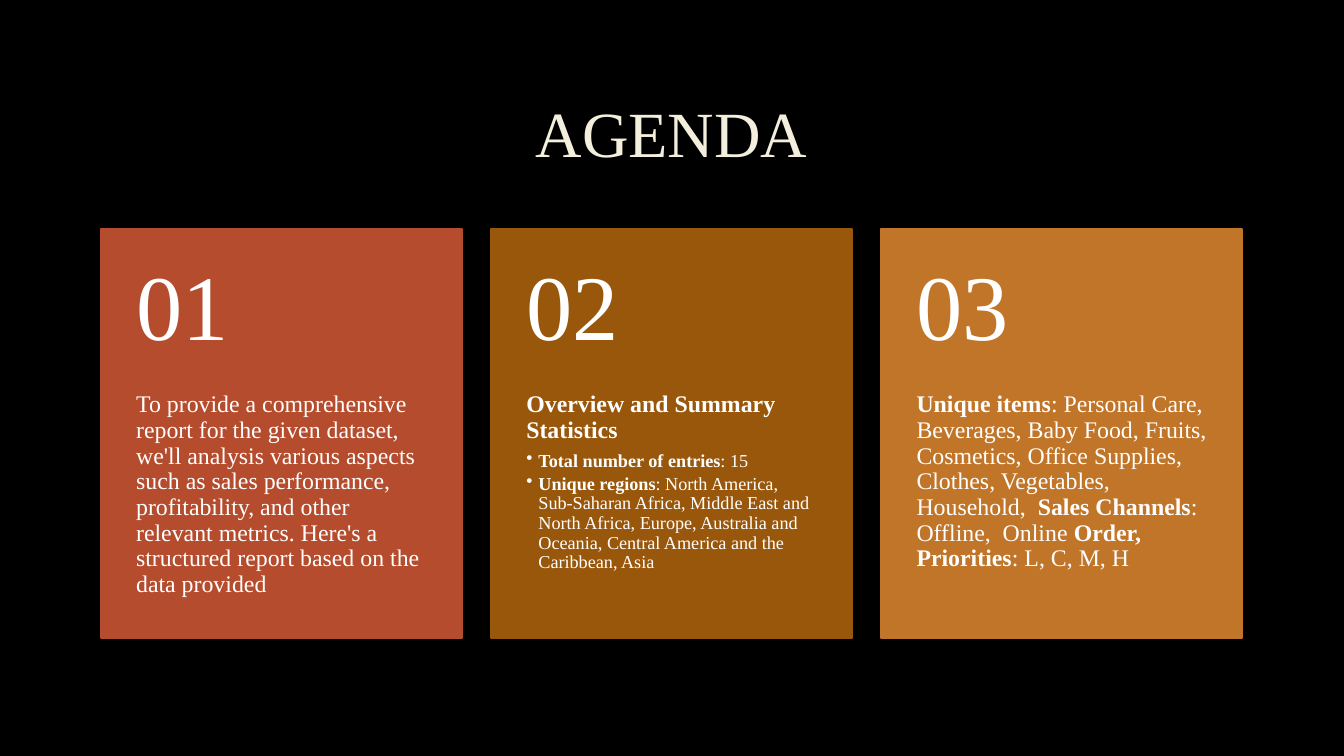
from dataclasses import dataclass

import lxml.etree
import pptx
import pptx.dml.color
import pptx.enum.shapes
import pptx.enum.text
import pptx.oxml.ns
import pptx.shapes.group
import pptx.slide
import pptx.text.text
import pptx.util

Inches = pptx.util.Inches
Pt = pptx.util.Pt
RGBColor = pptx.dml.color.RGBColor
Anchor = pptx.enum.text.MSO_ANCHOR
Align = pptx.enum.text.PP_ALIGN
qn = pptx.oxml.ns.qn

# Colours and font
BLACK = RGBColor(0x00, 0x00, 0x00)
WHITE = RGBColor(0xFF, 0xFF, 0xFF)
CREAM = RGBColor(0xF4, 0xEE, 0xDC)
RUST = RGBColor(0xB5, 0x4C, 0x2D)
BROWN = RGBColor(0x99, 0x57, 0x0C)
OCHRE = RGBColor(0xC1, 0x75, 0x29)
FONT = "Times New Roman"

# Card grid, in inches
CARD_LEFT, CARD_TOP, CARD_PITCH = 1, 2.27, 3.87
CARD_WIDTH, CARD_HEIGHT, NUMBER_HEIGHT = 3.58, 4.06, 1.62
BULLET_INDENT = 0.12


@dataclass(frozen=True)
class Run:
    text: str
    bold: bool = False


@dataclass(frozen=True)
class Line:
    runs: tuple[Run, ...]
    size: float = 17
    space_after: float = 6
    bullet: bool = False


@dataclass(frozen=True)
class Card:
    color: RGBColor
    lines: tuple[Line, ...]


CARDS = (
    Card(RUST, (
        Line((Run(
            "To provide a comprehensive report for the given dataset, we'll "
            "analysis various aspects such as sales performance, profitability, "
            "and other relevant metrics. Here's a structured report based on "
            "the data provided"),)),
    )),
    Card(BROWN, (
        Line((Run("Overview and Summary Statistics", True),)),
        Line((Run("Total number of entries", True), Run(": 15")), 13, 2, True),
        Line((Run("Unique regions", True), Run(
            ": North America, Sub-Saharan Africa, Middle East and North Africa, "
            "Europe, Australia and Oceania, Central America and the Caribbean, "
            "Asia")), 13, 2, True),
    )),
    Card(OCHRE, (
        Line((
            Run("Unique items", True),
            Run(": Personal Care, Beverages, Baby Food, Fruits, Cosmetics, "
                "Office Supplies, Clothes, Vegetables, Household,  "),
            Run("Sales Channels", True), Run(": Offline,  Online "),
            Run("Order, Priorities", True), Run(": L, C, M, H"))),
    )),
)


def apply_format(target: object, values: dict[str, object]) -> None:
    for name, value in values.items():
        setattr(target, name, value)


def add_run(paragraph: pptx.text.text._Paragraph, run: Run, size: float,
            color: RGBColor) -> pptx.text.text._Run:
    text_run = paragraph.add_run()
    text_run.text = run.text
    apply_format(text_run.font, {"name": FONT, "size": Pt(size), "bold": run.bold})
    text_run.font.color.rgb = color
    return text_run


def add_bullet(paragraph: pptx.text.text._Paragraph) -> None:
    paragraph.level = 1
    properties = paragraph._p.get_or_add_pPr()
    properties.set("marL", str(Inches(BULLET_INDENT)))
    properties.set("indent", str(-Inches(BULLET_INDENT)))
    lxml.etree.SubElement(properties, qn("a:buChar")).set("char", "•")


def add_text(group: pptx.shapes.group.GroupShape, left: float, top: float,
             height: float, lines: tuple[Line, ...],
             frame_format: dict[str, object]) -> None:
    box = group.shapes.add_textbox(
        Inches(left), Inches(top), Inches(CARD_WIDTH), Inches(height))
    frame = box.text_frame
    apply_format(frame, {"word_wrap": True, "margin_left": Inches(0.35),
                         "margin_right": Inches(0.35), **frame_format})
    for index, line in enumerate(lines):
        paragraph = frame.add_paragraph() if index else frame.paragraphs[0]
        apply_format(paragraph, {"line_spacing": 0.9,
                                 "space_after": Pt(line.space_after)})
        if line.bullet:
            add_bullet(paragraph)
        for run in line.runs:
            add_run(paragraph, run, line.size, WHITE)


def add_card(group: pptx.shapes.group.GroupShape, index: int, card: Card) -> None:
    left = CARD_LEFT + index * CARD_PITCH
    panel = group.shapes.add_shape(
        pptx.enum.shapes.MSO_SHAPE.RECTANGLE, Inches(left), Inches(CARD_TOP),
        Inches(CARD_WIDTH), Inches(CARD_HEIGHT))
    panel.shadow.inherit = False
    for fill in (panel.fill, panel.line.fill):
        fill.solid()
        fill.fore_color.rgb = card.color
    panel.line.width = Pt(1.25)

    add_text(group, left, CARD_TOP + NUMBER_HEIGHT, CARD_HEIGHT - NUMBER_HEIGHT,
             card.lines, {"margin_top": 0, "margin_bottom": Inches(0.36)})
    number = Line((Run(f"{index + 1:02}"),), 66, 23)
    add_text(group, left, CARD_TOP, NUMBER_HEIGHT, (number,),
             {"margin_top": Inches(0.18), "margin_bottom": Inches(0.18),
              "vertical_anchor": Anchor.MIDDLE})


def add_title(slide: pptx.slide.Slide) -> None:
    title = slide.shapes.title
    apply_format(title, {"left": Inches(1), "top": Inches(0.67),
                         "width": Inches(11.32), "height": Inches(1.38)})
    title.text_frame.vertical_anchor = Anchor.MIDDLE
    paragraph = title.text_frame.paragraphs[0]
    apply_format(paragraph, {"alignment": Align.CENTER, "line_spacing": 0.9})
    run = add_run(paragraph, Run("AGENDA"), 46, CREAM)

    # Faint letter outline
    outline = lxml.etree.Element(qn("a:ln"), w=str(Pt(0.75)))
    fill = lxml.etree.SubElement(outline, qn("a:solidFill"))
    color = lxml.etree.SubElement(fill, qn("a:srgbClr"), val="404040")
    lxml.etree.SubElement(color, qn("a:alpha"), val="10000")
    run._r.get_or_add_rPr().insert(0, outline)


def main() -> None:
    presentation = pptx.Presentation()
    apply_format(presentation, {"slide_width": Inches(13.33),
                                "slide_height": Inches(7.5)})
    slide = presentation.slides.add_slide(presentation.slide_layouts[5])

    # Background and title
    slide.background.fill.solid()
    slide.background.fill.fore_color.rgb = BLACK
    add_title(slide)

    # Agenda cards
    group = slide.shapes.add_group_shape()
    for index, card in enumerate(CARDS):
        add_card(group, index, card)

    presentation.save("out.pptx")


if __name__ == "__main__":
    main()
